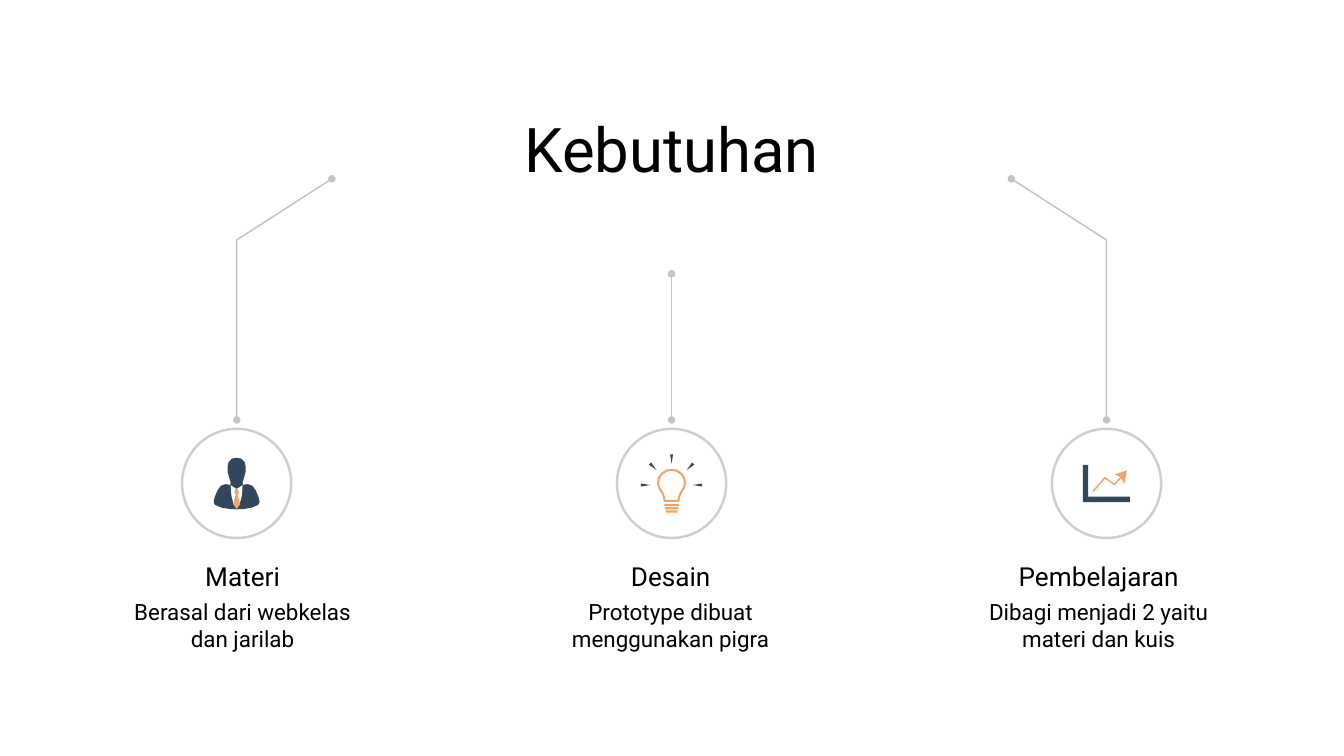
from dataclasses import dataclass
from math import cos, radians, sin

from pptx import Presentation
from pptx.dml.color import RGBColor
from pptx.enum.shapes import MSO_CONNECTOR, MSO_SHAPE
from pptx.enum.text import MSO_ANCHOR, PP_ALIGN
from pptx.oxml.ns import qn
from pptx.util import Pt
from lxml.etree import SubElement

BLACK = RGBColor(0x00, 0x00, 0x00)
WHITE = RGBColor(0xFF, 0xFF, 0xFF)
GREY = RGBColor(0xC4, 0xC4, 0xC4)
SILVER = RGBColor(0xCE, 0xCE, 0xCE)
NAVY = RGBColor(0x30, 0x47, 0x5E)
ORANGE = RGBColor(0xF2, 0xA3, 0x65)
FONT = "Roboto"

# Shared layout, in points
MID = 359.8
RING_GAP, RING_Y, RING_SIZE = 233, 259, 58.5
TEXT_MID, TEXT_GAP, TEXT_W = 359.3, 229.3, 139
DOT = 4
FOOT_Y = 225

Point = tuple[float, float]


@dataclass
class Need:
    side: int
    head: str
    body: str

    @property
    def x(self) -> float:
        return MID + self.side * RING_GAP


NEEDS = [
    Need(-1, "Materi", "Berasal dari webkelas dan jarilab"),
    Need(0, "Desain", "Prototype dibuat menggunakan pigra"),
    Need(1, "Pembelajaran", "Dibagi menjadi 2 yaitu materi dan kuis"),
]

deck = Presentation()
deck.slide_width, deck.slide_height = Pt(720), Pt(405)
slide = deck.slides.add_slide(deck.slide_layouts[6])
shapes = slide.shapes


def style(shape, fill: RGBColor | None, line: RGBColor | None = None, width: float = 1) -> None:
    shape.shadow.inherit = False
    if fill is None:
        shape.fill.background()
    else:
        shape.fill.solid()
        shape.fill.fore_color.rgb = fill
    if line is None:
        shape.line.fill.background()
    else:
        shape.line.color.rgb = line
        shape.line.width = Pt(width)


def write(text: str, x: float, y: float, w: float, h: float, size: float) -> None:
    """Add a text box centred on x."""
    frame = shapes.add_textbox(Pt(x - w / 2), Pt(y), Pt(w), Pt(h)).text_frame
    frame.word_wrap = True
    frame.vertical_anchor = MSO_ANCHOR.MIDDLE
    frame.margin_left = frame.margin_right = Pt(7.2)
    frame.margin_top = frame.margin_bottom = Pt(7.2)
    frame.text = text
    line = frame.paragraphs[0]
    line.alignment = PP_ALIGN.CENTER
    font = line.runs[0].font
    font.name, font.size, font.color.rgb = FONT, Pt(size), BLACK


def block(kind: MSO_SHAPE, x: float, y: float, w: float, h: float,
          fill: RGBColor, line: RGBColor | None = None, width: float = 1) -> None:
    """Add a preset shape centred on x, y."""
    shape = shapes.add_shape(kind, Pt(x - w / 2), Pt(y - h / 2), Pt(w), Pt(h))
    style(shape, fill, line, width)


def trace(x: float, y: float, points: list[Point], fill: RGBColor | None,
          line: RGBColor | None = None, width: float = 0.8, close: bool = True) -> None:
    """Add an outline whose points are offsets from x, y."""
    spots = [(Pt(x + dx), Pt(y + dy)) for dx, dy in points]
    pen = shapes.build_freeform(*spots[0])
    pen.add_line_segments(spots[1:], close=close)
    style(pen.convert_to_shape(), fill, line, width)


def mirror(half: list[Point]) -> list[Point]:
    """Complete a right half that starts and ends on the axis."""
    return half + [(-x, y) for x, y in half[-2:0:-1]]


def lead(need: Need) -> None:
    """Draw the line with end dots that leads to a ring."""
    if need.side:
        bend = -need.side * 51
        top = (need.x + bend, 95.8)
        trace(need.x, 0, [(bend, 95.8), (0, 128.6), (0, FOOT_Y)], None, GREY, close=False)
    else:
        top = (need.x, 146.7)
        line = shapes.add_connector(MSO_CONNECTOR.STRAIGHT, *map(Pt, (*top, need.x, FOOT_Y)))
        line.line.color.rgb, line.line.width = GREY, Pt(0.8)
        SubElement(line._element.spPr, qn("a:effectLst"))
    for x, y in (top, (need.x, FOOT_Y)):
        block(MSO_SHAPE.OVAL, x, y, DOT, DOT, GREY)


def person(x: float, y: float) -> None:
    bust = [(0, -13.7), (2.5, -13.3), (4.3, -11.5), (4.8, -9.2), (4.8, -6.2), (4, -3.2),
            (3.2, -0.6), (3.4, 0.8), (6, 0.4), (8.5, 1.3), (10.3, 3.8), (11.8, 7.5),
            (12.3, 10), (11.6, 11.5), (8, 13), (4, 13.7), (0, 13.9)]
    shirt = [(0, 3), (3.2, 0.9), (2.8, 6.5), (1.6, 11.2), (0, 11.2)]
    tie = [(0, 2.9), (0.7, 3.2), (1.2, 4.8), (0.6, 6.1), (1.8, 11.2), (0, 13.8)]
    for half, fill in ((bust, NAVY), (shirt, WHITE), (tie, ORANGE)):
        trace(x, y, mirror(half), fill)


def bulb(x: float, y: float) -> None:
    glass = [(0, -7.3), (2.8, -6.8), (5.2, -5.2), (6.8, -2.8), (7.2, -0.2), (6.7, 2.2),
             (5.2, 4.6), (4.1, 7), (3.7, 9.4), (0, 9.4)]
    trace(x, y, mirror(glass), None, ORANGE, 1.1)
    for row, width in enumerate((7.8, 7.2, 6.5)):
        block(MSO_SHAPE.ROUNDED_RECTANGLE, x, y + 11.6 + row * 1.75, width, 1.2, ORANGE)
    # Rays fan out evenly over the glass
    for turn in range(-90, 91, 45):
        a = radians(turn)
        ray = [(u * cos(a) + r * sin(a), u * sin(a) - r * cos(a))
               for u, r in ((-0.8, 16.4), (0.8, 16.4), (0, 11.4))]
        trace(x, y + 0.9, ray, NAVY)


def graph(x: float, y: float) -> None:
    trace(x, y, [(-7.4, 4.4), (-0.9, -3), (4.2, 0.6), (8, -3.6)], None, ORANGE, close=False)
    trace(x, y, [(11, -7), (4.5, -4.8), (7.4, -3.4), (9.6, 0.2)], ORANGE)
    trace(x, y, [(-12.7, -9.9), (-9.9, -9.9), (-9.9, 7.1), (12.5, 7.1), (12.5, 10),
                 (-12.7, 10)], NAVY)


# Title
write("Kebutuhan", MID, 32, 312, 94.3, 33)

# Three needs, each with a lead, a ring, an icon and text
for need, icon in zip(NEEDS, (person, bulb, graph)):
    lead(need)
    block(MSO_SHAPE.OVAL, need.x, RING_Y, RING_SIZE, RING_SIZE, WHITE, SILVER, 1.3)
    icon(need.x, RING_Y)
    x = TEXT_MID + need.side * TEXT_GAP
    write(need.head, x, 298.4, TEXT_W, 20.9, 14)
    write(need.body, x, 320.7, TEXT_W, 28.1, 12)

deck.save("out.pptx")
